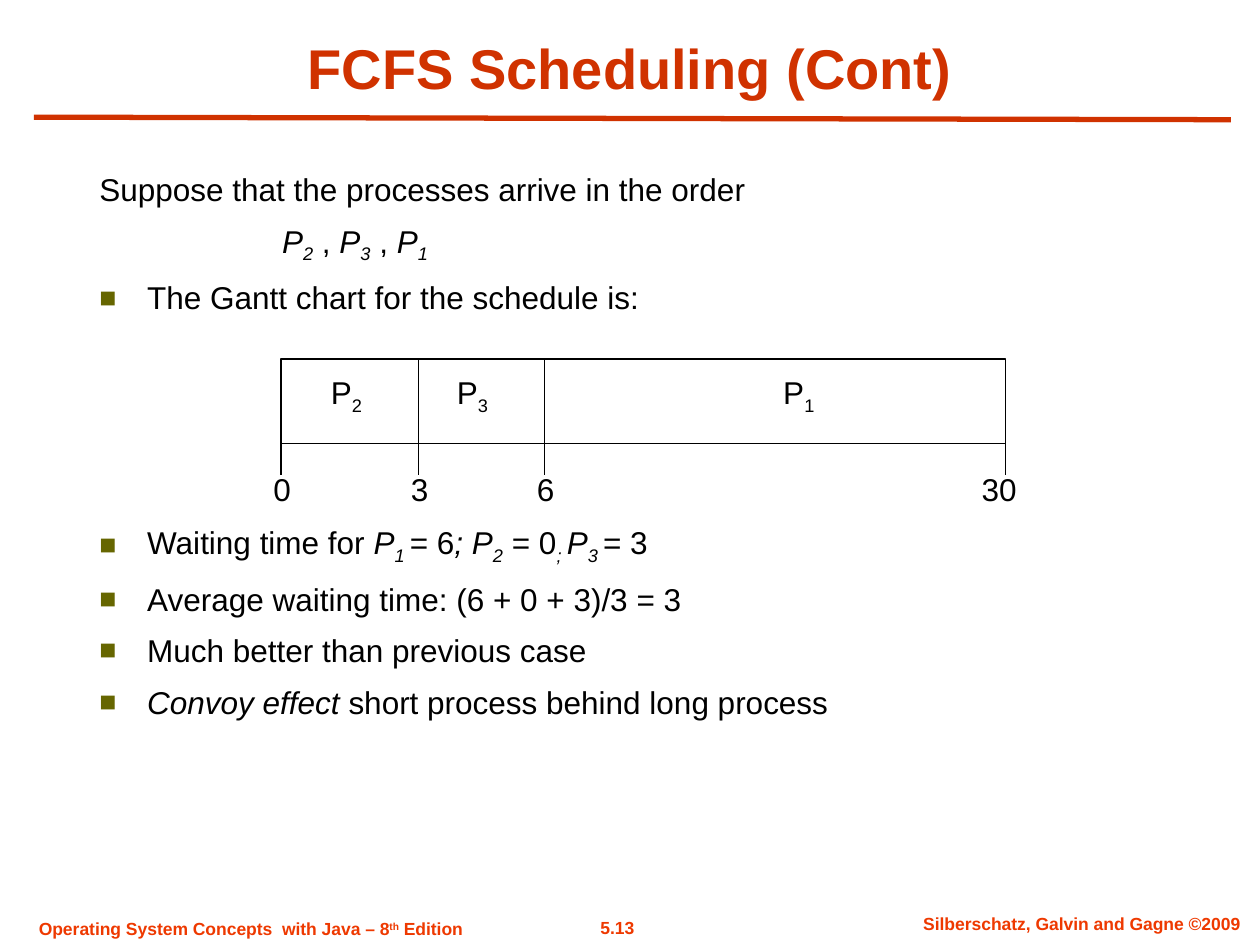
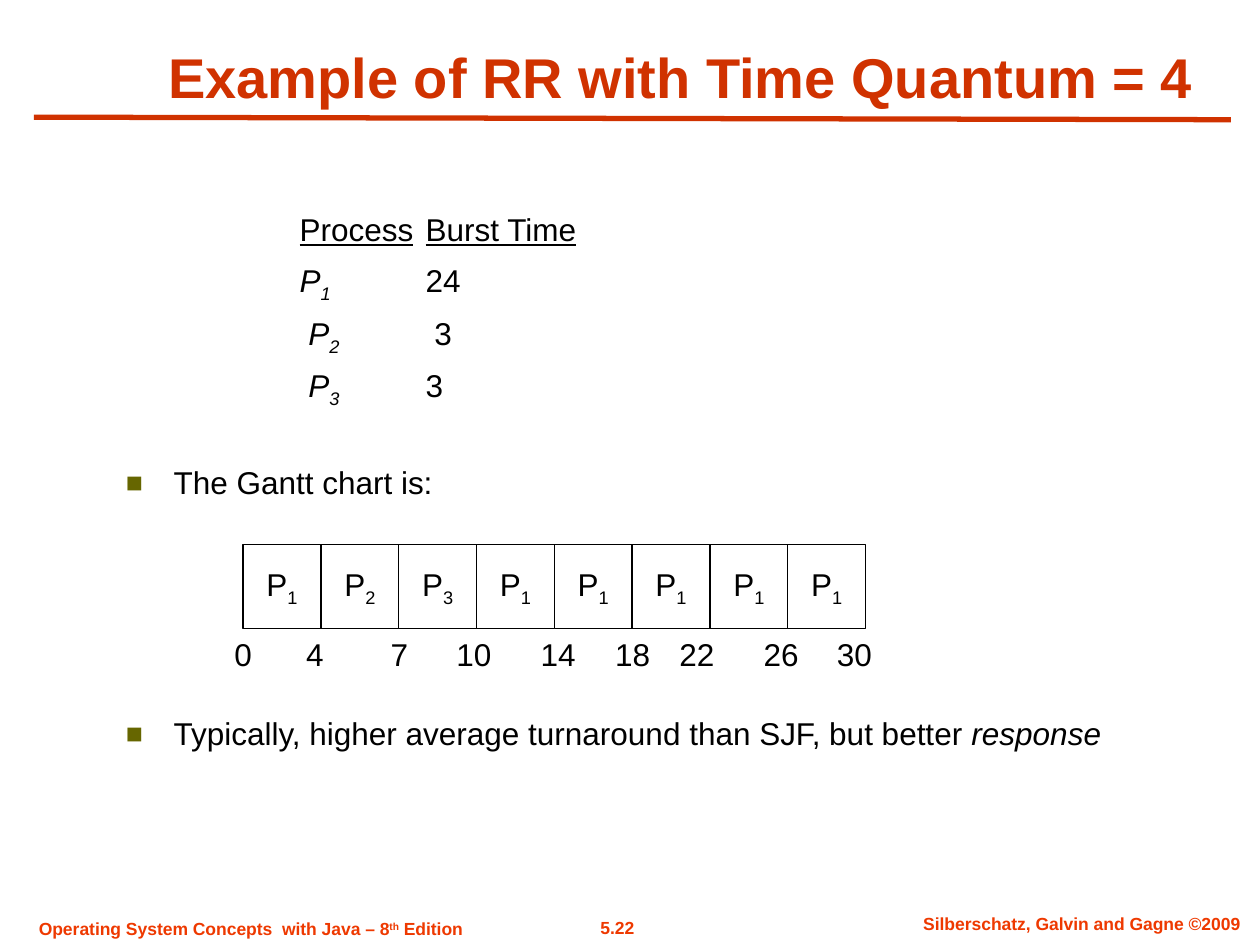
"""Build two CPU scheduling slides with Gantt charts."""
import pptx
import pptx.util
import pptx.dml.color
import pptx.enum.text
import pptx.enum.shapes
from lxml import etree
from pptx.util import Inches, Pt

RGBColor = pptx.dml.color.RGBColor
ALIGN = pptx.enum.text.PP_ALIGN
ANCHOR = pptx.enum.text.MSO_ANCHOR
RED = RGBColor(0xD0, 0x32, 0x00)
ORANGE = RGBColor(0xEE, 0x39, 0x00)
BLACK = RGBColor(0, 0, 0)
WHITE = RGBColor(255, 255, 255)
OLIVE = RGBColor(0x66, 0x66, 0x00)
FONT = "Arial"
HANG = 0.38
BAR_HEIGHT = 0.67
BASELINES = {"s": "-25000", "^": "30000"}


def child(parent, tag, **attrs):
    """Append a drawing element to its parent."""
    return etree.SubElement(parent, pptx.oxml.ns.qn(tag), attrs)


def process(number, style="i"):
    """Return the runs of a process name with its subscript."""
    return [("P", style), (str(number), style + "s")]


def write(p, runs, size=18, color=BLACK, bold=False, align=ALIGN.LEFT):
    """Fill a paragraph with (text, style) runs in one font."""
    p.alignment = align
    font = p.font
    font.name, font.size, font.bold = FONT, Pt(size), bold
    font.color.rgb = color
    for text, style in runs:
        r = p.add_run()
        r.text = text
        if "i" in style:
            r.font.italic = True
        if "u" in style:
            r.font.underline = True
        for mark, baseline in BASELINES.items():
            if mark in style:
                r._r.get_or_add_rPr().set("baseline", baseline)


def add_bullet(p):
    """Give a paragraph the square bullet and its hanging indent."""
    pPr = p._p.get_or_add_pPr()
    pPr.set("marL", str(Inches(HANG)))
    pPr.set("indent", str(-Inches(HANG)))
    child(child(pPr, "a:buClr"), "a:srgbClr", val=str(OLIVE))
    child(pPr, "a:buSzPct", val="90000")
    child(pPr, "a:buFont", typeface=FONT)
    child(pPr, "a:buChar", char="■")


def add_text(s, left, top, width, height, wrap=True):
    """Add a text box and return its text frame."""
    tf = s.shapes.add_textbox(Inches(left), Inches(top), Inches(width), Inches(height)).text_frame
    tf.word_wrap = wrap
    return tf


def add_body(s, box, lines, spacing=1.0):
    """Add paragraphs given as (runs, bullet, indent, space before)."""
    tf = add_text(s, *box)
    for i, (runs, bullet, indent, before) in enumerate(lines):
        p = tf.add_paragraph() if i else tf.paragraphs[0]
        p.line_spacing = spacing
        if i:
            p.space_before = Pt(before)
        if bullet:
            add_bullet(p)
        elif indent:
            p._p.get_or_add_pPr().set("marL", str(Inches(indent)))
        write(p, runs)


def line(runs, bullet=True, indent=0, before=7.9):
    """Describe one body paragraph."""
    return runs, bullet, indent, before


def add_label(s, center, top, height, runs):
    """Add a short label centred on a horizontal position."""
    tf = add_text(s, center - 0.24, top, 0.48, height, wrap=False)
    tf.vertical_anchor = ANCHOR.MIDDLE
    write(tf.paragraphs[0], runs, align=ALIGN.CENTER)


def add_times(s, top, times):
    """Label the time axis of a Gantt chart."""
    for time, center in times:
        add_label(s, center, top, 0.4, [(time, "")])


def add_line(s, x1, y1, x2, y2, color=BLACK, width=0.75):
    """Draw a straight line without a shadow."""
    line_shape = s.shapes.add_connector(pptx.enum.shapes.MSO_CONNECTOR.STRAIGHT,
                                        Inches(x1), Inches(y1), Inches(x2), Inches(y2))
    line_shape.line.color.rgb = color
    line_shape.line.width = Pt(width)
    child(line_shape._element.spPr, "a:effectLst")


def add_bar(s, left, top, width):
    """Draw a white Gantt bar and return it."""
    sp = s.shapes.add_shape(pptx.enum.shapes.MSO_SHAPE.RECTANGLE, Inches(left), Inches(top),
                            Inches(width), Inches(BAR_HEIGHT))
    sp.shadow.inherit = False
    sp.fill.solid()
    sp.fill.fore_color.rgb = WHITE
    sp.line.color.rgb = BLACK
    sp.line.width = Pt(0.75)
    return sp


def add_slide(prs, title, title_box, number):
    """Add a slide with its title, rule and footers."""
    s = prs.slides.add_slide(prs.slide_layouts[5])
    sp = s.shapes.title
    sp.left, sp.top, sp.width, sp.height = map(Inches, title_box)
    tf = sp.text_frame
    tf.vertical_anchor = ANCHOR.BOTTOM
    tf.auto_size = pptx.enum.text.MSO_AUTO_SIZE.NONE
    write(tf.paragraphs[0], [(title, "")], 32, RED, True, ALIGN.CENTER)
    add_line(s, 0.27, 0.93, 9.77, 0.95, RED, 3)
    edition = [("Operating System Concepts  with Java – 8", ""), ("th", "^"), (" Edition", "")]
    footers = [
        ((4.41, 7.23, 0.98, 0.27), [(number, "")], ALIGN.CENTER),
        ((7.1, 7.2, 2.97, 0.27), [("Silberschatz, Galvin and Gagne ©2009", "")], ALIGN.CENTER),
        ((0.21, 7.24, 4.1, 0.27), edition, ALIGN.LEFT),
    ]
    for box, runs, align in footers:
        write(add_text(s, *box).paragraphs[0], runs, 10, ORANGE, True, align)
    return s


def add_fcfs_slide(prs):
    """Show first-come, first-served order with its waiting times."""
    s = add_slide(prs, "FCFS Scheduling (Cont)", (0.5, 0.22, 9, 0.63), "5.13")
    comma = [(" , ", "")]
    waiting = [("Waiting time for ", ""), ("P", "i"), ("1 ", "is"), ("= 6", ""), ("; P", "i"),
               ("2", "is"), (" = 0", ""), ("; ", "is"), ("P", "i"), ("3 ", "is"), ("= 3", "")]
    add_body(s, (0.69, 1.3, 8.46, 4.96), [
        line([("Suppose that the processes arrive in the order", "")], False),
        line(process(2) + comma + process(3) + comma + process(1), False, 1.45),
        line([("The Gantt chart for the schedule is:", "")]),
        line(waiting, before=118),
        line([("Average waiting time: (6 + 0 + 3)/3 = 3", "")]),
        line([("Much better than previous case", "")]),
        line([("Convoy effect", "i"), (" short process behind long process", "")]),
    ])
    top, left, right = 2.85, 2.23, 7.98
    bottom = top + BAR_HEIGHT
    add_bar(s, left, top, right - left)
    for x in (3.32, 4.32):
        add_line(s, x, top, x, bottom)
    for x in (left, 3.32, 4.32, right):
        add_line(s, x, bottom, x, bottom + 0.25)
    for number, center in ((2, 2.75), (3, 3.75), (1, 6.34)):
        add_label(s, center, 2.91, 0.44, process(number, ""))
    add_times(s, 3.68, [("0", 2.24), ("3", 3.33), ("6", 4.33), ("30", 7.93)])


def add_process_list(s):
    """List the processes and their burst times on a tab stop."""
    rows = [
        [("Process", "u"), ("\t", ""), ("Burst Time", "u")],
        process(1) + [("\t24", "")],
        [(" ", "")] + process(2) + [("\t 3", "")],
        [(" ", "")] + process(3) + [("\t3", "")],
    ]
    tf = add_text(s, 2.28, 1.65, 4, 1.8)
    for i, runs in enumerate(rows):
        p = tf.add_paragraph() if i else tf.paragraphs[0]
        p.line_spacing = 0.9
        if i:
            p.space_before = Pt(7.9)
        tabs = child(p._p.get_or_add_pPr(), "a:tabLst")
        child(tabs, "a:tab", pos=str(Inches(1)), algn="l")
        write(p, runs)


def add_round_robin_slide(prs):
    """Show the round-robin schedule for a quantum of four."""
    s = add_slide(prs, "Example of RR with Time Quantum = 4", (1, 0, 8.81, 0.92), "5.22")
    add_process_list(s)
    add_body(s, (0.9, 3.66, 8.04, 2.4), [
        line([("The Gantt chart is:", "")]),
        line([("Typically, higher average turnaround than SJF, but better ", ""),
              ("response", "i")], before=124.2),
    ], 0.9)
    step = 4.94 / 8
    for i, number in enumerate((1, 2, 3, 1, 1, 1, 1, 1)):
        tf = add_bar(s, 1.93 + i * step, 4.32, step).text_frame
        tf.word_wrap = False
        tf.vertical_anchor = ANCHOR.MIDDLE
        write(tf.paragraphs[0], process(number, ""), align=ALIGN.CENTER)
    add_times(s, 4.99, [("0", 1.93), ("4", 2.5), ("7", 3.17), ("10", 3.76), ("14", 4.43),
                        ("18", 5.02), ("22", 5.53), ("26", 6.2), ("30", 6.78)])


def main():
    """Build and save the presentation."""
    prs = pptx.Presentation()
    prs.slide_width, prs.slide_height = Inches(10), Inches(7.5)
    add_fcfs_slide(prs)
    add_round_robin_slide(prs)
    prs.save("out.pptx")


if __name__ == "__main__":
    main()
